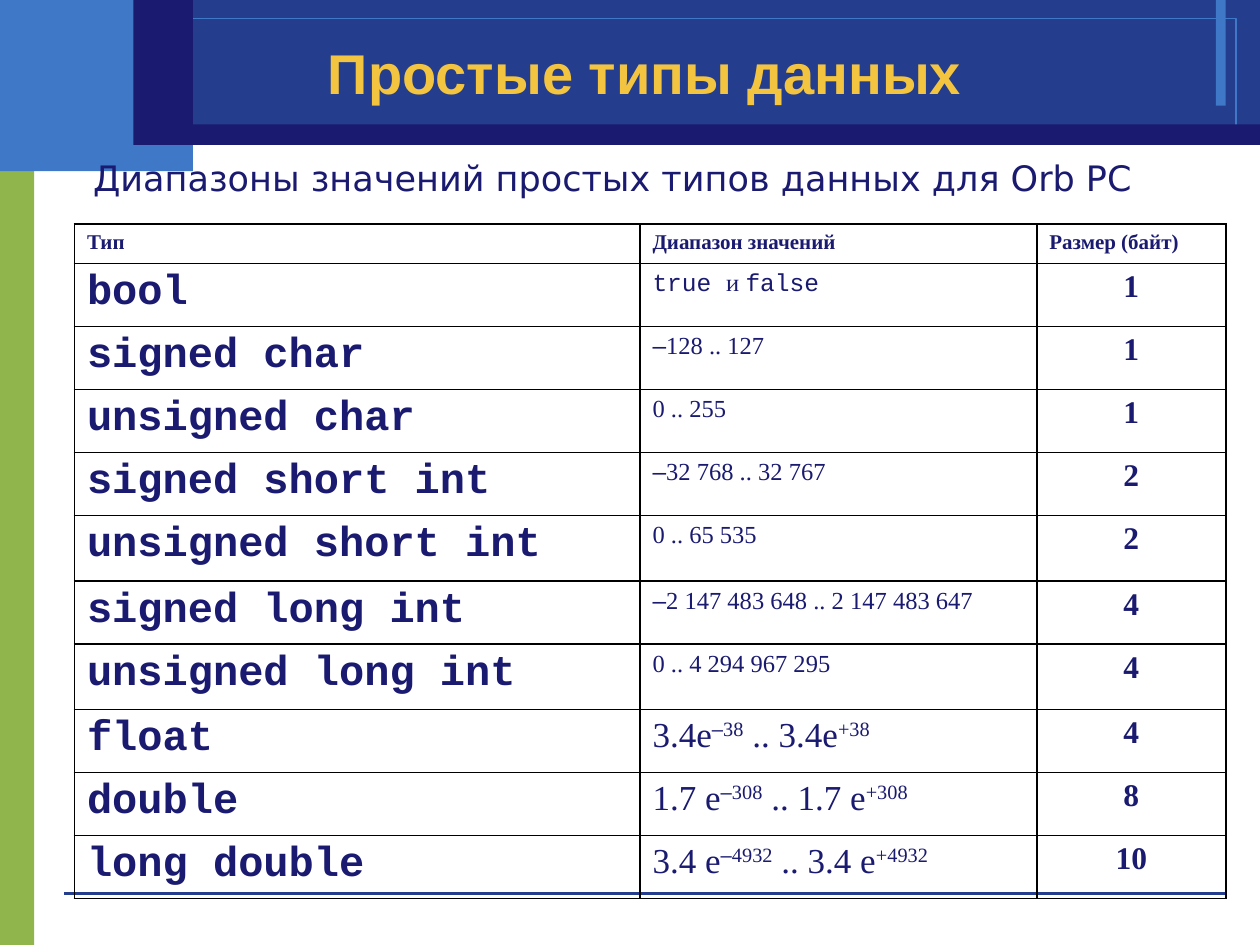
from collections import namedtuple
from dataclasses import dataclass

from lxml import etree
from pptx import Presentation
from pptx.dml.color import RGBColor
from pptx.enum.shapes import MSO_CONNECTOR, MSO_SHAPE
from pptx.enum.text import MSO_ANCHOR, MSO_AUTO_SIZE, PP_ALIGN
from pptx.oxml.ns import qn
from pptx.util import Cm, Pt

RECT = MSO_SHAPE.RECTANGLE
STRAIGHT = MSO_CONNECTOR.STRAIGHT
CENTER, LEFT = PP_ALIGN.CENTER, PP_ALIGN.LEFT
MIDDLE, TOP = MSO_ANCHOR.MIDDLE, MSO_ANCHOR.TOP
NO_FIT = MSO_AUTO_SIZE.NONE

Box = namedtuple("Box", "x y w h")


@dataclass(frozen=True)
class Theme:
    navy: str = "1A1A70"
    blue: str = "243D8C"
    sky: str = "3E78C6"
    green: str = "90B54D"
    gold: str = "F3C43F"
    grid: str = "000000"
    sans: str = "Arial"
    serif: str = "Times New Roman"
    mono: str = "Courier New"
    lead: str = "DejaVu Sans"
    title_size: int = 32
    lead_size: int = 20
    head_size: int = 12
    type_size: int = 24
    int_size: int = 14
    float_size: int = 20
    bytes_size: int = 18


T = Theme()


def style(r, size, name, color=T.navy, bold=False):
    r.font.size = Pt(size)
    r.font.name = name
    r.font.bold = bold
    r.font.color.rgb = RGBColor.from_string(color)


def int_range(text):
    if text.startswith("–"):
        return [("–", T.sans, False), (text[1:], T.serif, False)]
    return [(text, T.serif, False)]


def float_range(base, power):
    return [
        (base, T.serif, False),
        ("–", T.sans, True),
        (power, T.serif, True),
        (f" .. {base}", T.serif, False),
        (f"+{power}", T.serif, True),
    ]


HEADS = ["Тип", "Диапазон значений", "Размер (байт)"]
BOOL_RANGE = [("true ", T.mono, False), ("и ", T.serif, False), ("false", T.mono, False)]
TYPES = [
    ("bool", BOOL_RANGE, T.int_size, 1),
    ("signed char", int_range("–128 .. 127"), T.int_size, 1),
    ("unsigned char", int_range("0 .. 255"), T.int_size, 1),
    ("signed short int", int_range("–32 768 .. 32 767"), T.int_size, 2),
    ("unsigned short int", int_range("0 .. 65 535"), T.int_size, 2),
    ("signed long int", int_range("–2 147 483 648 .. 2 147 483 647"), T.int_size, 4),
    ("unsigned long int", int_range("0 .. 4 294 967 295"), T.int_size, 4),
    ("float", float_range("3.4e", "38"), T.float_size, 4),
    ("double", float_range("1.7 e", "308"), T.float_size, 8),
    ("long double", float_range("3.4 e", "4932"), T.float_size, 10),
]
COL_WIDTHS = [11.4, 8, 3.81]
HEAD_HEIGHT, ROW_HEIGHT, TALL_HEIGHT = 0.79, 1.27, 1.32
TALL_TYPES = ("unsigned short int", "unsigned long int")


def add_rect(slide, box, fill=None, line=None):
    sp = slide.shapes.add_shape(RECT, *(Cm(v) for v in box))
    sp.shadow.inherit = False
    if fill:
        sp.fill.solid()
        sp.fill.fore_color.rgb = RGBColor.from_string(fill)
    else:
        sp.fill.background()
    if line:
        sp.line.color.rgb = RGBColor.from_string(line)
        sp.line.width = Pt(0)
    else:
        sp.line.fill.background()


def add_frame(slide, box):
    x, y, w, h = box
    band_x, band_h, stripe_h = x + 3.89, 2.92, 0.41
    add_rect(slide, Box(x, y + 2.72, 0.69, h - 2.72), T.green)
    add_rect(slide, Box(x, y, 3.89, 3.45), T.sky)
    add_rect(slide, Box(band_x, y, w - 3.89, band_h), T.blue)
    add_rect(slide, Box(x + 24.51, y, 0.2, 2.13), T.sky)
    add_rect(slide, Box(x + 0.51, y + 0.38, w - 0.99, 2.16), line=T.sky)

    rule_y = Cm(y + 18.01)
    rule = slide.shapes.add_connector(STRAIGHT, Cm(x + 1.3), rule_y, Cm(x + 24.71), rule_y)
    rule.line.color.rgb = RGBColor.from_string(T.blue)
    rule.line.width = Pt(0)
    etree.SubElement(rule._element.spPr, qn("a:effectLst"))

    add_rect(slide, Box(x + 3.3, y + band_h - stripe_h, w - 3.3, stripe_h), T.navy)
    add_rect(slide, Box(band_x - 1.2, y, 1.2, band_h), T.navy)


def add_heading(slide, box):
    title = slide.shapes.title
    title.left, title.top, title.width, title.height = (
        Cm(v) for v in (box.x + 2.08, box.y + 0.66, 21.84, 1.57))
    lead = slide.shapes.add_textbox(Cm(box.x), Cm(box.y + 3.12), Cm(24.71), Cm(1.19))
    for sp, text, anchor in (
        (title, "Простые типы данных", MIDDLE),
        (lead, "Диапазоны значений простых типов данных для Orb PC", TOP),
    ):
        tf = sp.text_frame
        tf.word_wrap = True
        tf.auto_size = NO_FIT
        tf.vertical_anchor = anchor
        tf.text = text
        tf.paragraphs[0].alignment = CENTER
    style(title.text_frame.paragraphs[0].runs[0], T.title_size, T.sans, T.gold, True)
    p = lead.text_frame.paragraphs[0]
    p.line_spacing = 0.9
    style(p.runs[0], T.lead_size, T.lead)


def format_cell(cell):
    cell.fill.background()
    tcPr = cell._tc.get_or_add_tcPr()
    for i, side in enumerate(("lnL", "lnR", "lnT", "lnB")):
        ln = etree.Element(qn(f"a:{side}"), w=str(Pt(1)))
        fill = etree.SubElement(ln, qn("a:solidFill"))
        etree.SubElement(fill, qn("a:srgbClr"), val=T.grid)
        tcPr.insert(i, ln)


def fill_cell(cell, runs, size, bold=False, align=LEFT):
    format_cell(cell)
    p = cell.text_frame.paragraphs[0]
    p.alignment = align
    for text, name, raised in runs:
        r = p.add_run()
        r.text = text
        style(r, size, name, bold=bold)
        if raised:
            r._r.get_or_add_rPr().set("baseline", "30000")


def add_types_table(slide, box):
    frame = slide.shapes.add_table(
        len(TYPES) + 1, len(HEADS), *(Cm(v) for v in box))
    table = frame.table
    table.first_row = False
    table.horz_banding = False
    for col, width in zip(table.columns, COL_WIDTHS):
        col.width = Cm(width)
    table.rows[0].height = Cm(HEAD_HEIGHT)
    for i, head in enumerate(HEADS):
        fill_cell(table.cell(0, i), [(head, T.serif, False)], T.head_size, True)
    for i, (name, runs, size, count) in enumerate(TYPES, 1):
        table.rows[i].height = Cm(TALL_HEIGHT if name in TALL_TYPES else ROW_HEIGHT)
        fill_cell(table.cell(i, 0), [(name, T.mono, False)], T.type_size, True)
        fill_cell(table.cell(i, 1), runs, size)
        fill_cell(table.cell(i, 2), [(str(count), T.serif, False)],
                  T.bytes_size, True, CENTER)


def main():
    prs = Presentation()
    page = Box(0, 0, 25.4, 19.05)
    prs.slide_width, prs.slide_height = Cm(page.w), Cm(page.h)
    slide = prs.slides.add_slide(prs.slide_layouts[5])
    add_frame(slide, page)
    title = slide.shapes.title._element
    slide.shapes._spTree.append(title)
    add_heading(slide, page)
    add_types_table(slide, Box(1.5, 4.52, sum(COL_WIDTHS), 13.6))
    prs.save("out.pptx")


if __name__ == "__main__":
    main()
